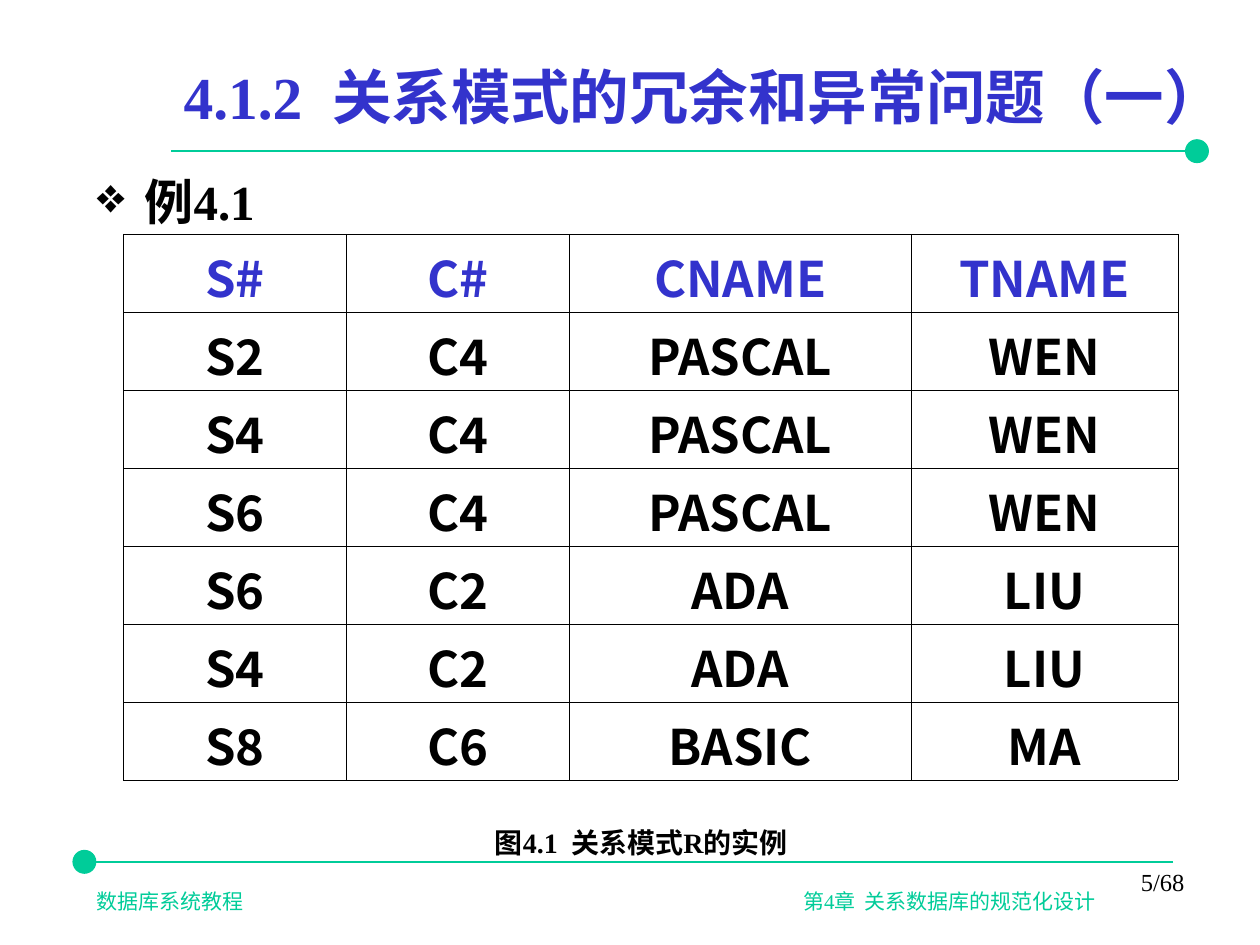
from lxml.etree import SubElement
from pptx import Presentation
from pptx.dml.color import RGBColor
from pptx.enum.shapes import MSO_CONNECTOR, MSO_SHAPE
from pptx.enum.text import MSO_ANCHOR, PP_ALIGN
from pptx.oxml.ns import qn
from pptx.util import Inches, Pt

GREEN = RGBColor(0x00, 0xCC, 0x99)
BLUE = RGBColor(0x33, 0x33, 0xCC)
BLACK = RGBColor(0x00, 0x00, 0x00)
SERIF, SANS = "Times New Roman", "Noto Sans CJK SC"

# Each text: wording, box (left, top, width, height), format
TEXTS = [
    ("数据库系统教程\t第4章  关系数据库的规范化设计", (0.67, 7, 8.58, 0.3),
     dict(size=12, color=GREEN, right_tab=7.93)),
    ("4.1.2  关系模式的冗余和异常问题（一）", (1.36, 0.25, 8.64, 1.02),
     dict(size=34, color=BLUE, bold=True, anchor=MSO_ANCHOR.MIDDLE)),
    ("例4.1", (0.67, 1.31, 4.3, 0.77),
     dict(size=28, bold=True, bullet="❖")),
    ("图4.1  关系模式R的实例", (3.83, 6.5, 2.75, 0.37),
     dict(size=16, bold=True)),
    ("5/68", (7.17, 6.83, 2.33, 0.5),
     dict(size=14, align=PP_ALIGN.RIGHT)),
]
# Each rule: line start x, line end x, y, left edge of the end dot
RULES = [(1.36, 9.5, 1.2, 9.41), (9.31, 0.67, 6.84, 0.58)]
DOT_SIZE = 0.18

COURSES = [
    ("S#", "C#", "CNAME", "TNAME"),
    ("S2", "C4", "PASCAL", "WEN"),
    ("S4", "C4", "PASCAL", "WEN"),
    ("S6", "C4", "PASCAL", "WEN"),
    ("S6", "C2", "ADA", "LIU"),
    ("S4", "C2", "ADA", "LIU"),
    ("S8", "C6", "BASIC", "MA"),
]
TABLE_LEFT, TABLE_TOP, TABLE_HEIGHT = 0.98, 1.86, 4.33
COLUMN_WIDTHS = (1.77, 1.77, 2.71, 2.12)


def write(frame, text, size=28, color=BLACK, bold=False, font=SERIF,
          align=PP_ALIGN.LEFT, anchor=MSO_ANCHOR.TOP, bullet=None, right_tab=None):
    """Put one formatted paragraph into a text frame."""
    frame.word_wrap = True
    frame.vertical_anchor = anchor
    paragraph = frame.paragraphs[0]
    paragraph.alignment = align
    properties = paragraph._p.get_or_add_pPr()
    if bullet:
        indent = Inches(0.38)
        properties.set("marL", str(indent))
        properties.set("indent", str(-indent))
        SubElement(properties, qn("a:buChar"), char=bullet)
    if right_tab:
        tabs = SubElement(properties, qn("a:tabLst"))
        SubElement(tabs, qn("a:tab"), pos=str(Inches(right_tab)), algn="r")
    run = paragraph.add_run()
    run.text = text
    run.font.size, run.font.bold, run.font.name = Pt(size), bold, font
    run.font.color.rgb = color
    SubElement(run._r.get_or_add_rPr(), qn("a:ea"), typeface=SANS)


def add_rule(slide, start, end, y, dot_left):
    """Draw a horizontal rule with a round dot at one end."""
    dot = slide.shapes.add_shape(
        MSO_SHAPE.FLOWCHART_CONNECTOR, Inches(dot_left), Inches(y - DOT_SIZE / 2),
        Inches(DOT_SIZE), Inches(DOT_SIZE))
    dot.shadow.inherit = False
    dot.fill.solid()
    dot.fill.fore_color.rgb = GREEN
    dot.line.color.rgb = GREEN
    dot.line.width = Pt(0.75)
    rule = slide.shapes.add_connector(
        MSO_CONNECTOR.STRAIGHT, Inches(start), Inches(y), Inches(end), Inches(y))
    rule.line.color.rgb = GREEN
    rule.line.width = Pt(1.25)
    SubElement(rule._element.spPr, qn("a:effectLst"))


def add_borders(cell):
    """Give a cell thin black lines on all four sides."""
    properties = cell._tc.get_or_add_tcPr()
    for side in ("lnL", "lnR", "lnT", "lnB"):
        border = SubElement(properties, qn(f"a:{side}"), w=str(Pt(0.45)))
        fill = SubElement(border, qn("a:solidFill"))
        SubElement(fill, qn("a:srgbClr"), val=str(BLACK))


def add_courses(slide):
    """Build the table of the relation's rows."""
    table = slide.shapes.add_table(
        len(COURSES), len(COLUMN_WIDTHS), Inches(TABLE_LEFT), Inches(TABLE_TOP),
        Inches(sum(COLUMN_WIDTHS)), Inches(TABLE_HEIGHT)).table
    table.first_row = table.horz_banding = False
    for column, width in zip(table.columns, COLUMN_WIDTHS):
        column.width = Inches(width)
    for row, values in enumerate(COURSES):
        for column, value in enumerate(values):
            cell = table.cell(row, column)
            write(cell.text_frame, value, font=SANS, bold=True,
                  color=BLACK if row else BLUE, align=PP_ALIGN.CENTER)
            cell.vertical_anchor = MSO_ANCHOR.MIDDLE
            cell.margin_top, cell.margin_bottom = Inches(0.05), 0
            add_borders(cell)
            cell.fill.background()


def main():
    """Build and save the slide."""
    deck = Presentation()
    deck.slide_width, deck.slide_height = Inches(10), Inches(7.5)
    slide = deck.slides.add_slide(deck.slide_layouts[6])
    for rule in RULES:
        add_rule(slide, *rule)
    for text, box, style in TEXTS:
        frame = slide.shapes.add_textbox(*map(Inches, box)).text_frame
        write(frame, text, **style)
    add_courses(slide)
    deck.save("out.pptx")


main()
